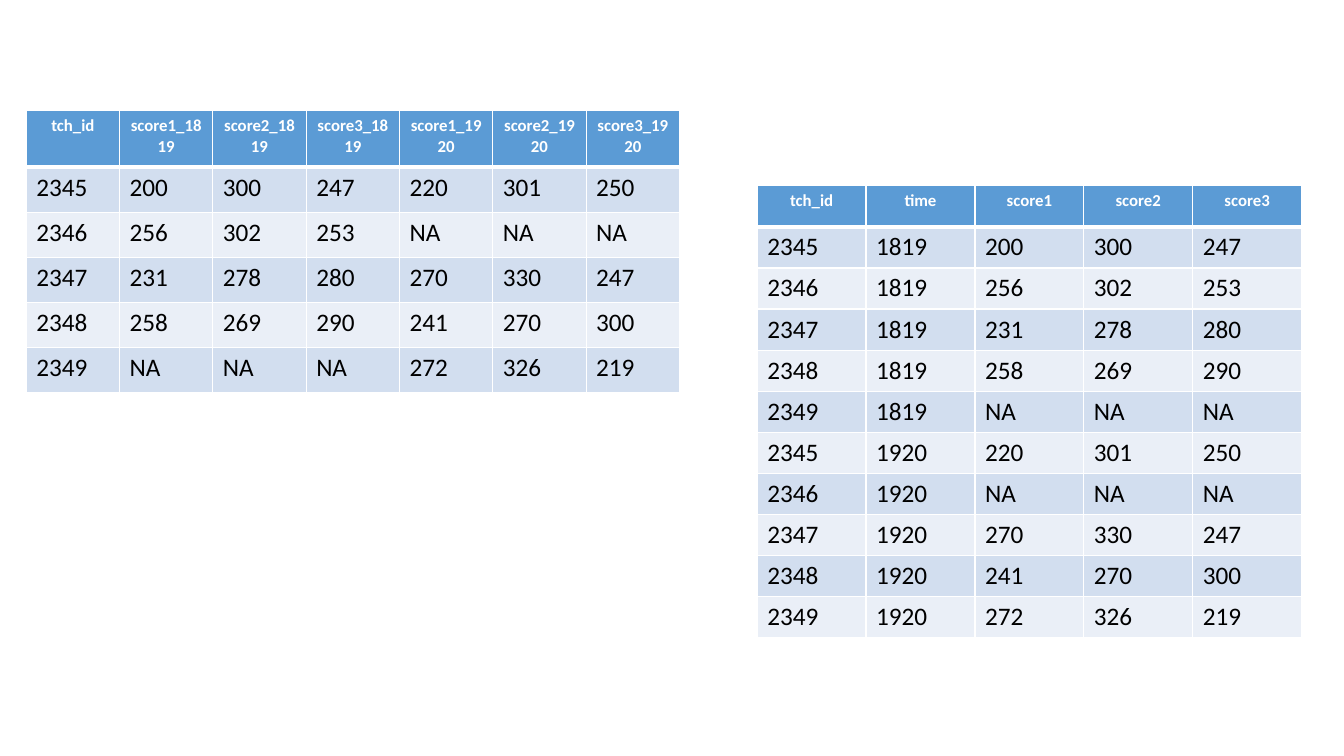
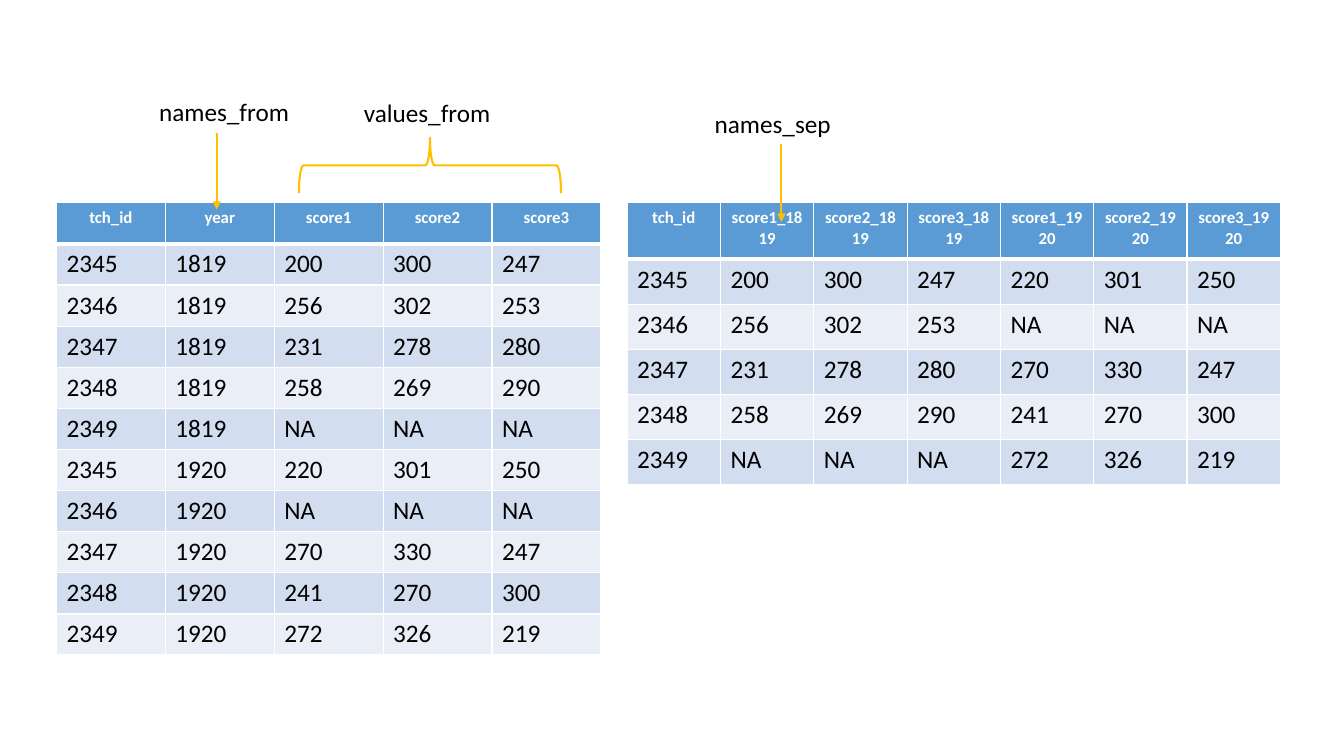
"""Two slides that show scores reshaped between wide and long tables."""
from dataclasses import dataclass

from lxml import etree
from pptx import Presentation
from pptx import util as u
from pptx.dml.color import RGBColor
from pptx.enum import shapes, text
from pptx.oxml.ns import qn


@dataclass(frozen=True)
class Theme:
    """Colours, type and line sizes shared by the slides."""
    font: str = "Calibri"
    header: str = "5B9BD5"
    bands: tuple = ("D2DEEF", "EAEFF7")
    white: str = "FFFFFF"
    black: str = "000000"
    accent: str = "FFC000"
    header_pt: int = 12
    body_pt: int = 18
    line_pt: float = 1.5
    border_pt: int = 1
    rule_pt: int = 3


THEME = Theme()
EMU_PER_PX = 9144
IDS = ["2345", "2346", "2347", "2348", "2349"]
MISSING = ["NA"] * 3
SCORES = {
    "1819": [["200", "300", "247"], ["256", "302", "253"],
             ["231", "278", "280"], ["258", "269", "290"], MISSING],
    "1920": [["220", "301", "250"], MISSING, ["270", "330", "247"],
             ["241", "270", "300"], ["272", "326", "219"]],
}
SCORE_NAMES = ["score1", "score2", "score3"]


def px(n):
    """Turn px into EMU."""
    return u.Emu(round(n * EMU_PER_PX))


def rgb(value):
    """Turn a hex string into a colour."""
    return RGBColor.from_string(value)


def add_run(p, words, size, color, bold=False):
    """Add one styled run to a paragraph."""
    r = p.add_run()
    r.text = words
    r.font.name, r.font.size, r.font.bold = THEME.font, u.Pt(size), bold
    r.font.color.rgb = rgb(color)


def set_borders(cell, bottom_pt):
    """Give a cell white borders with a chosen bottom weight."""
    tc_pr = cell._tc.get_or_add_tcPr()
    for side in "LRTB":
        weight = bottom_pt if side == "B" else THEME.border_pt
        ln = etree.SubElement(tc_pr, qn(f"a:ln{side}"), w=str(u.Pt(weight)))
        fill = etree.SubElement(ln, qn("a:solidFill"))
        etree.SubElement(fill, qn("a:srgbClr"), val=THEME.white)


def style_cell(cell, words, row):
    """Fill a cell as part of the header row or of a banded row."""
    is_header = row == 0
    set_borders(cell, THEME.rule_pt if is_header else THEME.border_pt)
    cell.fill.solid()
    color = THEME.header if is_header else THEME.bands[(row - 1) % 2]
    cell.fill.fore_color.rgb = rgb(color)
    p = cell.text_frame.paragraphs[0]
    if is_header:
        p.alignment = text.PP_ALIGN.CENTER
        add_run(p, words, THEME.header_pt, THEME.white, bold=True)
    else:
        add_run(p, words, THEME.body_pt, THEME.black)


def add_grid(slide, x, y, w, h, header_h, rows):
    """Add a table with equal columns and equal body rows."""
    n_rows, n_cols = len(rows), len(rows[0])
    table = slide.shapes.add_table(
        n_rows, n_cols, px(x), px(y), px(w), px(h)).table
    for col in table.columns:
        col.width = px(w / n_cols)
    for i, values in enumerate(rows):
        body_h = (h - header_h) / (n_rows - 1)
        table.rows[i].height = px(body_h if i else header_h)
        for j, value in enumerate(values):
            style_cell(table.cell(i, j), value, i)


def add_wide(slide, x, y):
    """Add the table with one row per teacher."""
    names = [f"{name}_{year}" for year in SCORES for name in SCORE_NAMES]
    body = [[tch, *first, *second]
            for tch, first, second in zip(IDS, *SCORES.values())]
    add_grid(slide, x, y, 648, 280, 56, [["tch_id", *names], *body])


def add_long(slide, x, y, time_name):
    """Add the table with one row per teacher and year."""
    body = [[tch, year, *scores] for year, block in SCORES.items()
            for tch, scores in zip(IDS, block)]
    header = ["tch_id", time_name, *SCORE_NAMES]
    add_grid(slide, x, y, 540, 449, 41, [header, *body])


def add_label(slide, x, y, words):
    """Add a one-line label and return it."""
    sp = slide.shapes.add_textbox(px(x), px(y), px(152), px(40))
    tf = sp.text_frame
    tf.word_wrap = True
    add_run(tf.paragraphs[0], words, THEME.body_pt, THEME.black)
    return sp


def style_line(line):
    """Apply the accent line."""
    line.color.rgb = rgb(THEME.accent)
    line.width = u.Pt(THEME.line_pt)


def add_down_arrow(slide, x, y1, y2):
    """Add a vertical arrow that points down and return it."""
    arrow = slide.shapes.add_connector(
        shapes.MSO_CONNECTOR.STRAIGHT, px(x), px(y1), px(x), px(y2))
    style_line(arrow.line)
    etree.SubElement(arrow.line._get_or_add_ln(), qn("a:tailEnd"),
                     type="triangle")
    etree.SubElement(arrow._element.spPr, qn("a:effectLst"))
    return arrow


def add_brace(slide, x, y, w, h):
    """Add a right brace turned to point up."""
    sp = slide.shapes.add_shape(
        shapes.MSO_SHAPE.RIGHT_BRACE, px(x), px(y), px(w), px(h))
    sp.rotation = 270
    sp.shadow.inherit = False
    sp.fill.background()
    style_line(sp.line)


def build_wide_to_long(slide):
    """Show the wide table beside the long one."""
    add_wide(slide, 26, 110)
    add_long(slide, 751, 184, "time")


def build_long_to_wide(slide):
    """Show the long table beside the wide one, with argument names."""
    add_long(slide, 56, 201, "year")
    add_down_arrow(slide, 215, 132, 208)
    add_label(slide, 148, 91, "names_from")
    add_brace(slide, 399, 34, 55, 260)
    add_label(slide, 351, 92, "values_from")
    add_wide(slide, 622, 201)
    arrow = add_down_arrow(slide, 775, 143, 220)
    arrow.begin_connect(add_label(slide, 699, 103, "names_sep"), 2)


def main():
    """Build and save the deck."""
    prs = Presentation()
    prs.slide_width, prs.slide_height = px(1333), px(750)
    for build in (build_wide_to_long, build_long_to_wide):
        build(prs.slides.add_slide(prs.slide_layouts[6]))
    prs.save("out.pptx")


if __name__ == "__main__":
    main()
